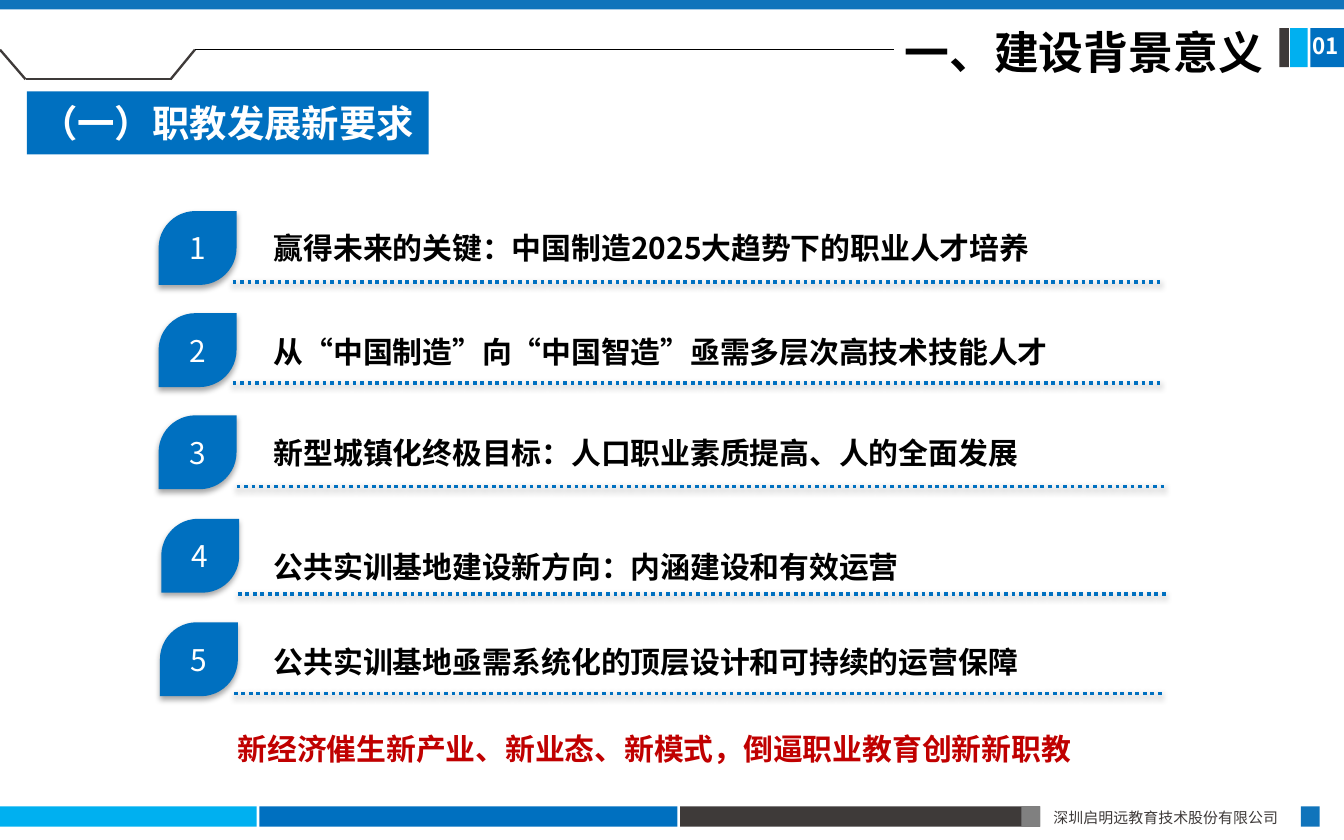
from lxml import etree
from pptx import Presentation
from pptx import util as u
from pptx.dml.color import RGBColor
from pptx.enum import dml, shapes, text
from pptx.oxml.ns import qn

SANS = "Noto Sans CJK SC"
BLUE, SKY, DARK, GREY, STEEL = "0070C0", "00B0F0", "3E3A39", "808080", "1074BB"
WHITE, BLACK, RED = "FFFFFF", "000000", "C00000"


def px(n):
    return u.Emu(n * 9144)


def rgb(code):
    return RGBColor.from_string(code)


class Deck:
    def __init__(self, wide, high):
        self.prs = Presentation()
        self.prs.slide_width, self.prs.slide_height = px(wide), px(high)
        self.page = self.prs.slides.add_slide(self.prs.slide_layouts[6])

    def shade(self, item, alpha=0, dist=0):
        props = item._element.spPr
        for old in props.findall(qn("a:effectLst")):
            props.remove(old)
        group = etree.SubElement(props, qn("a:effectLst"))
        if alpha:
            drop = etree.SubElement(
                group, qn("a:outerShdw"), blurRad="39370", dist=str(int(dist * 12700)),
                dir="5400000", algn="t", rotWithShape="0")
            tone = etree.SubElement(drop, qn("a:srgbClr"), val=BLACK)
            etree.SubElement(tone, qn("a:alpha"), val=str(alpha * 1000))

    def block(self, x, y, w, h, fill, kind=shapes.MSO_SHAPE.RECTANGLE):
        item = self.page.shapes.add_shape(kind, px(x), px(y), px(w), px(h))
        item.shadow.inherit = False
        item.fill.solid()
        item.fill.fore_color.rgb = rgb(fill)
        item.line.fill.background()
        return item

    def leaf(self, x, y, label):
        item = self.block(x, y, 58, 55, BLUE, shapes.MSO_SHAPE.ROUND_2_DIAG_RECTANGLE)
        item.adjustments[0], item.adjustments[1] = 0.5, 0
        self.shade(item, 35, 1.8)
        self.fit(item, [(label, SANS)], 16, WHITE, bold=False,
                 align=text.PP_ALIGN.CENTER, anchor=text.MSO_ANCHOR.MIDDLE)

    def line(self, x1, y1, x2, y2, color, width):
        item = self.page.shapes.add_connector(
            shapes.MSO_CONNECTOR.STRAIGHT, px(x1), px(y1), px(x2), px(y2))
        item.line.color.rgb = rgb(color)
        item.line.width = u.Pt(width)
        self.shade(item)
        return item

    def dots(self, x, y, w):
        item = self.line(x, y, x + w, y, BLUE, 2)
        item.line.dash_style = dml.MSO_LINE.ROUND_DOT
        self.shade(item, 38, 1.6)

    def fit(self, item, runs, size, color, bold=True, align=text.PP_ALIGN.LEFT,
            anchor=text.MSO_ANCHOR.TOP, inset=(10, 5, 10, 5), space=None):
        frame = item.text_frame
        frame.word_wrap = True
        frame.vertical_anchor = anchor
        (frame.margin_left, frame.margin_top,
         frame.margin_right, frame.margin_bottom) = map(px, inset)
        para = frame.paragraphs[0]
        para.alignment = align
        if space:
            para.line_spacing = space
        for words, face in runs:
            run = para.add_run()
            run.text = words
            font = run.font
            font.size, font.bold, font.name = u.Pt(size), bold, face
            font.color.rgb = rgb(color)
            etree.SubElement(run._r.get_or_add_rPr(), qn("a:ea"), typeface=face)

    def label(self, x, y, w, h, words, size, color, **style):
        box = self.page.shapes.add_textbox(px(x), px(y), px(w), px(h))
        self.fit(box, [(words, SANS)], size, color, **style)


def main():
    deck = Deck(1000, 625)

    for x, w, fill in [(0, 191, SKY), (193, 311, BLUE), (506, 268, DARK),
                       (760, 14, GREY), (968, 14, STEEL)]:
        deck.block(x, 600, w, 15, fill)
    deck.label(774, 597, 194, 24, "深圳启明远教育技术股份有限公司", 8, DARK,
               bold=False, align=text.PP_ALIGN.JUSTIFY)

    for x, w, fill in [(975, 26, BLUE), (960, 13, SKY), (952, 7, DARK)]:
        deck.block(x, 21, w, 29, fill)
    deck.block(0, 0, 1000, 7, STEEL)
    bends = [(0, 37), (19, 59), (127, 59), (145, 37)]
    for start, end in zip(bends, bends[1:]):
        deck.line(*start, *end, DARK, 1.25)
    deck.line(145, 37, 665, 37, BLACK, 0.75)

    deck.label(665, 19, 299, 42, "一、建设背景意义", 24, BLACK,
               inset=(8, 4, 8, 4), space=0.9)
    deck.label(967, 19, 50, 30, "01", 12, WHITE)
    banner = deck.block(20, 68, 299, 47, BLUE)
    deck.fit(banner, [("（一）", "Calibri"), ("职教发展新要求", SANS)], 20, WHITE,
             anchor=text.MSO_ANCHOR.MIDDLE, inset=(10, 5, 0, 5))

    rows = [
        (118, 157, 165, 173, 210, "赢得未来的关键：中国制造2025大趋势下的职业人才培养"),
        (118, 233, 242, 173, 285, "从“中国制造”向“中国智造”亟需多层次高技术技能人才"),
        (118, 309, 317, 176, 362, "新型城镇化终极目标：人口职业素质提高、人的全面发展"),
        (120, 386, 402, 177, 442, "公共实训基地建设新方向：内涵建设和有效运营"),
        (119, 463, 473, 174, 516, "公共实训基地亟需系统化的顶层设计和可持续的运营保障"),
    ]
    for num, (x, y, top, left, base, words) in enumerate(rows, 1):
        deck.leaf(x, y, str(num))
        deck.dots(left, base, 692)
        deck.label(194, top, 700, 38, words, 16, BLACK, space=u.Pt(20))
    deck.label(167, 539, 658, 37, "新经济催生新产业、新业态、新模式，倒逼职业教育创新新职教", 16, RED)

    deck.prs.save("out.pptx")


if __name__ == "__main__":
    main()
